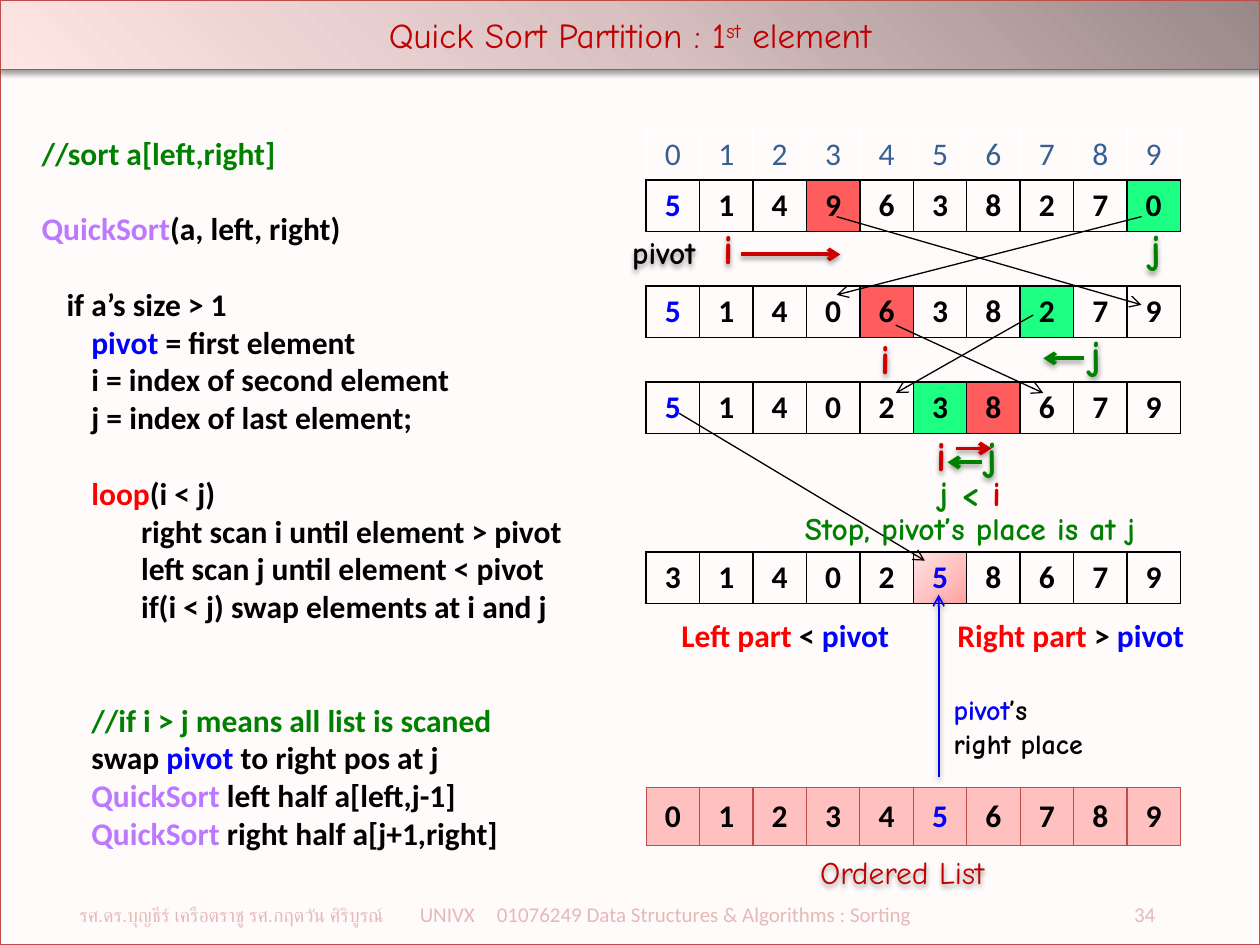
from dataclasses import dataclass
from pptx import Presentation
from pptx.dml.color import RGBColor
from pptx.enum.shapes import MSO_CONNECTOR, MSO_SHAPE
from pptx.enum.text import MSO_ANCHOR, MSO_AUTO_SIZE, PP_ALIGN
from pptx.oxml import parse_xml
from pptx.oxml.ns import nsdecls, qn
from pptx.util import Pt


@dataclass(frozen=True)
class Theme:
    body: str = "Calibri"
    hand: str = "Comic Neue"
    thai: str = "Roboto"
    black: str = "000000"
    white: str = "FFFFFF"
    paper: str = "FFFBFB"
    frame: str = "BF4C48"
    title: str = "C00000"
    index: str = "376092"
    blue: str = "0000FF"
    green: str = "008000"
    red: str = "FF0000"
    crimson: str = "CC0000"
    violet: str = "BC79FF"
    footer: str = "E6B9B8"
    left_hit: str = "FF5D5D"
    right_hit: str = "1DFF83"
    sorted: str = "FFC0C0"
    tiny: int = 11
    small: int = 12
    note: int = 16
    text: int = 18
    head: int = 20
    mark: int = 24


T = Theme()


def add_xml(parent, xml):
    for child in list(parse_xml(f"<a:root {nsdecls('a')}>{xml}</a:root>")):
        parent.append(child)


def write(tf, paras, font=T.body, size=T.text, color=T.black, bold=False,
          align=PP_ALIGN.LEFT, spacing=None):
    tf.word_wrap = True
    tf.auto_size = MSO_AUTO_SIZE.NONE
    for i, runs in enumerate(paras):
        p = tf.add_paragraph() if i else tf.paragraphs[0]
        p.alignment = align
        p.space_before = Pt(0)
        if spacing:
            p.line_spacing = spacing
        for run in runs:
            text, run_color = run if isinstance(run, tuple) else (run, color)
            r = p.add_run()
            r.text = text
            r.font.name, r.font.size, r.font.bold = font, Pt(size), bold
            r.font.color.rgb = RGBColor.from_string(run_color)


SHADOW = ('<a:effectLst><a:outerShdw blurRad="39370" dist="20320" dir="5400000">'
          '<a:srgbClr val="000000"><a:alpha val="38000"/></a:srgbClr></a:outerShdw></a:effectLst>')
GRADIENT = ('<a:gradFill><a:gsLst><a:gs pos="0"><a:srgbClr val="{}"/></a:gs>'
            '<a:gs pos="50000"><a:srgbClr val="{}"/></a:gs>'
            '<a:gs pos="100000"><a:srgbClr val="{}"/></a:gs></a:gsLst>{}</a:gradFill>')

prs = Presentation()
prs.slide_width, prs.slide_height = Pt(720), Pt(540)
s = prs.slides.add_slide(prs.slide_layouts[1])
title, code = s.placeholders

panel = s.shapes.add_shape(MSO_SHAPE.RECTANGLE, Pt(0), Pt(39.6), Pt(720), Pt(500.4))
panel.fill.solid()
panel.fill.fore_color.rgb = RGBColor.from_string(T.paper)
panel.line.color.rgb = RGBColor.from_string(T.frame)
panel.line.width = Pt(0.75)
add_xml(panel.element.spPr, SHADOW)
title.element.addprevious(panel.element)

title.left, title.top, title.width, title.height = Pt(0), Pt(0), Pt(720), Pt(39.6)
add_xml(title.element.spPr, GRADIENT.format("988887", "D8C1C0", "FFE6E5",
                                            '<a:lin ang="8100000" scaled="0"/>'))
title.line.color.rgb = RGBColor.from_string(T.frame)
title.line.width = Pt(0.75)
add_xml(title.element.spPr, SHADOW)
write(title.text_frame, [["Quick Sort Partition : 1", "st", " element"]],
      font=T.hand, size=T.head, color=T.title, align=PP_ALIGN.CENTER)
title.text_frame.vertical_anchor = MSO_ANCHOR.MIDDLE
title.text_frame.paragraphs[0].runs[1]._r.get_or_add_rPr().set("baseline", "30000")

code_lines = [
    (0, 0, [("//sort a[left,right]", T.green)]),
    (0, 1, [("QuickSort", T.violet), "(a, left, right)"]),
    (1, 1, ["if a’s size > 1"]),
    (2, 0, [("pivot", T.blue), " = first element"]),
    (2, 0, ["i = index of second element"]),
    (2, 0, ["j = index of last element;"]),
    (2, 1, [("loop", T.red), "(i < j)"]),
    (4, 0, ["right scan i until element > pivot"]),
    (4, 0, ["left scan j until element < pivot"]),
    (4, 0, ["if(i < j) swap elements at i and j"]),
    (2, 2, [("//if i > j means all list is scaned", T.green)]),
    (2, 0, ["swap ", ("pivot", T.blue), " to right pos at j"]),
    (2, 0, [("QuickSort", T.violet), " left half a[left,j-1]"]),
    (2, 0, [("QuickSort", T.violet), " right half a[j+1,right]"]),
]
LINE = 21.6
code.left, code.top, code.width, code.height = Pt(16.6), Pt(72.7), Pt(315.4), Pt(422)
write(code.text_frame, [runs for _, _, runs in code_lines], bold=True, spacing=Pt(LINE))
for p, (level, gap, _) in zip(code.text_frame.paragraphs, code_lines):
    p.space_before = Pt(gap * LINE)
    pPr = p._p.get_or_add_pPr()
    pPr.set("marL", str(Pt(level * 14.2)))
    pPr.set("indent", "0")
    add_xml(pPr, "<a:buNone/>")

L, R = T.left_hit, T.right_hit
tables = [
    (73.4, 29.4, ["0123456789", "5149638270"], {3: L, 9: R}),
    (163.4, 29.4, ["5140638279"], {4: L, 7: R}),
    (218.2, 29.4, ["5140238679"], {5: R, 6: L}),
    (315.4, 29.4, ["3140258679"], {5: "gradient"}),
    (450, 33.1, ["0123456789"], dict.fromkeys(range(10), T.sorted)),
]
COL = 30.55
for top, height, rows, fills in tables:
    frame = s.shapes.add_table(len(rows), 10, Pt(369.2), Pt(top),
                               Pt(COL * 10), Pt(height * len(rows)))
    table = frame.table
    table.first_row = table.horz_banding = False
    ordered = len(fills) == 10
    for row in table.rows:
        row.height = Pt(height)
    for n, digits in enumerate(rows):
        heading = n < len(rows) - 1
        for i, digit in enumerate(digits):
            table.columns[i].width = Pt(COL)
            cell = table.cell(n, i)
            color = T.index if heading else T.blue if digit == "5" and i in (0, 5) else T.black
            write(cell.text_frame, [[digit]], color=color, bold=not heading,
                  align=PP_ALIGN.CENTER)
            cell.vertical_anchor = (MSO_ANCHOR.BOTTOM if heading else
                                    MSO_ANCHOR.MIDDLE if ordered else MSO_ANCHOR.TOP)
            tcPr = cell._tc.get_or_add_tcPr()
            for side in "LRTB":
                edge = T.frame if ordered else T.white if heading and side != "B" else T.black
                add_xml(tcPr, f'<a:ln{side} w="{Pt(0.75 if ordered else 1)}"><a:solidFill>'
                              f'<a:srgbClr val="{edge}"/></a:solidFill></a:ln{side}>')
            fill = None if heading else fills.get(i)
            if fill == "gradient":
                add_xml(tcPr, GRADIENT.format(
                    "FFA0A0", "FFC5C5", "FFE3E3",
                    '<a:path path="circle"><a:fillToRect l="100000" t="100000"/></a:path>'))
            elif fill:
                cell.fill.solid()
                cell.fill.fore_color.rgb = RGBColor.from_string(fill)
            else:
                cell.fill.background()

arrows = [
    (652.3, 123.8, 478.1, 168.5, T.black, 0.75),
    (478.1, 123.8, 652.3, 174.2, T.black, 0.75),
    (590.4, 180, 511.9, 224.6, T.black, 0.75),
    (511.9, 185.8, 596.2, 224.6, T.black, 0.75),
    (388.1, 236.2, 528.5, 320.4, T.black, 0.75),
    (423.4, 145.4, 480.2, 145.4, T.crimson, 2.25),
    (619.2, 204.8, 596.2, 204.8, T.green, 2.25),
    (546.5, 256.3, 566.6, 256.3, T.crimson, 2.25),
    (560.9, 264.2, 541.4, 264.2, T.green, 2.25),
    (536.4, 444.2, 536.4, 339.8, T.blue, 1),
]
for x1, y1, x2, y2, color, width in arrows:
    line = s.shapes.add_connector(MSO_CONNECTOR.STRAIGHT, Pt(x1), Pt(y1), Pt(x2), Pt(y2))
    line.line.color.rgb = RGBColor.from_string(color)
    line.line.width = Pt(width)
    spPr = line.element.spPr
    add_xml(spPr.find(qn("a:ln")), '<a:tailEnd type="arrow"/>')
    add_xml(spPr, "<a:effectLst/>" if color == T.black else SHADOW)

mark = dict(font=T.hand, size=T.mark, bold=True)
i_mark, j_mark = [[("i", T.crimson)]], [[("j", T.green)]]
labels = [
    (354.2, 129.6, 73.4, 22.3, [["pivot"]], dict(font=T.hand, bold=True), True),
    (406.1, 123.8, 17, 28, i_mark, mark, True),
    (650.2, 123.8, 17, 28, j_mark, mark, True),
    (496.1, 186.5, 17, 28, i_mark, mark, True),
    (616.3, 184.3, 17, 28, j_mark, mark, True),
    (527.8, 241.9, 17, 28, i_mark, mark, True),
    (556.6, 241.9, 17, 28, j_mark, mark, True),
    (461.5, 483.8, 140.4, 28, [["Ordered List"]], dict(font=T.hand, color=T.title), True),
    (382.3, 348.5, 146.2, 28.8,
     [[("Left part ", T.red), "<", (" pivot", T.blue)]], dict(bold=True), False),
    (540, 348.5, 157.7, 28.8,
     [[("Right part ", T.red), "> ", ("pivot", T.blue)]], dict(bold=True), False),
    (433.4, 270.7, 241.9, 45.4,
     [["j < ", ("i", T.crimson)], ["Stop, pivot’s place is at j"]],
     dict(font=T.hand, color=T.green, bold=True, align=PP_ALIGN.CENTER, spacing=Pt(19)), False),
    (537.8, 392.4, 106.6, 46.1, [[("pivot", T.blue), "’s"], ["right place"]],
     dict(font=T.hand, size=T.note, bold=True), False),
    (38.2, 511.9, 646.6, 26.6,
     [["รศ.ดร.บุญธีร์ เครือตราชู รศ.กฤตวัน ศิริบูรณ์",
       "\tUNIVX\t01076249 Data Structures & Algorithms : Sorting\t34"]],
     dict(size=T.small, color=T.footer), False),
]
for x, y, w, h, paras, fmt, shadow in labels:
    box = s.shapes.add_textbox(Pt(x), Pt(y), Pt(w), Pt(h))
    write(box.text_frame, paras, **fmt)
    if shadow:
        add_xml(box.element.spPr, SHADOW)
    for r in box.text_frame.paragraphs[0].runs:
        if r.text == "j < ":
            for marker in box.text_frame.paragraphs[0].runs:
                marker.font.size = Pt(T.head)

footer = box.text_frame.paragraphs[0]
footer.runs[0].font.name, footer.runs[0].font.size = T.thai, Pt(T.tiny)
stops = "".join(f'<a:tab pos="{Pt(pos)}" algn="{algn}"/>'
                for pos, algn in [(194.6, "l"), (238.6, "l"), (614.9, "r")])
add_xml(footer._p.get_or_add_pPr(), f"<a:tabLst>{stops}</a:tabLst>")

prs.save("out.pptx")
